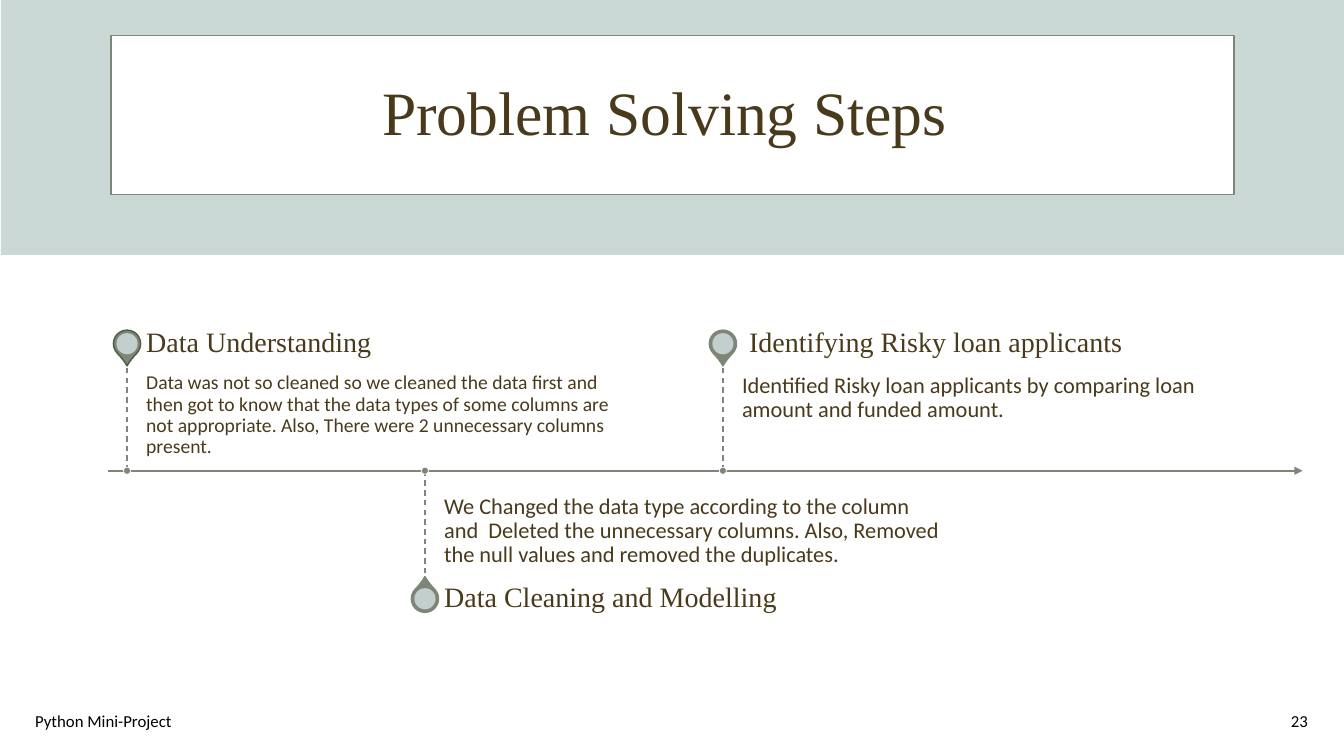
from lxml import etree
from pptx import Presentation
from pptx.dml.color import RGBColor
from pptx.enum.dml import MSO_LINE
from pptx.enum.shapes import MSO_CONNECTOR, MSO_SHAPE
from pptx.enum.text import MSO_ANCHOR as ANCHOR, PP_ALIGN as ALIGN
from pptx.oxml.ns import qn
from pptx.util import Inches, Pt

COLORS = {"mist": "CAD8D6", "sage": "7E8679", "moss": "4F5945",
          "brown": "4A3A1C", "white": "FFFFFF", "black": "000000"}
RGB = {name: RGBColor.from_string(code) for name, code in COLORS.items()}
SERIF, SANS = "Times New Roman", "Calibri"

deck = Presentation()
deck.slide_width, deck.slide_height = Inches(13.33), Inches(7.5)
page = deck.slides.add_slide(deck.slide_layouts[5])


def add_figure(kind, left, top, width, height, fill, line=None, weight=1):
    figure = page.shapes.add_shape(
        kind, Inches(left), Inches(top), Inches(width), Inches(height))
    figure.shadow.inherit = False
    figure.fill.solid()
    figure.fill.fore_color.rgb = RGB[fill]
    if line:
        figure.line.color.rgb = RGB[line]
        figure.line.width = Pt(weight)
    else:
        figure.line.fill.background()
    return figure


def write(box, at, text, size, font, color="brown", align=ALIGN.LEFT,
          anchor=ANCHOR.MIDDLE, insets=(0.1, 0.05, 0.1, 0.05), spacing=0.9):
    box.left, box.top, box.width, box.height = map(Inches, at)
    frame = box.text_frame
    frame.word_wrap = True
    frame.vertical_anchor = anchor
    (frame.margin_left, frame.margin_top,
     frame.margin_right, frame.margin_bottom) = map(Inches, insets)
    para = frame.paragraphs[0]
    para.alignment, para.line_spacing = align, spacing
    span = para.add_run()
    span.text = text
    span.font.size, span.font.name = Pt(size), font
    span.font.color.rgb = RGB[color]


# Header band, framed panel and title
add_figure(MSO_SHAPE.RECTANGLE, 0.01, 0, 13.33, 2.53, "mist")
add_figure(MSO_SHAPE.RECTANGLE, 1.1, 0.35, 11.14, 1.58, "white", "sage")
title = page.shapes.title
title.element.getparent().append(title.element)
write(title, (0.42, 0.42, 12.5, 1.45), "Problem Solving Steps ", 44, SERIF,
      align=ALIGN.CENTER)

# Footer
for left, width, text, align in ((0.25, 4.5, "Python Mini-Project", ALIGN.LEFT),
                                 (10.07, 3, "23", ALIGN.RIGHT)):
    write(page.shapes.add_textbox(0, 0, 0, 0), (left, 6.95, width, 0.4),
          text, 12, SANS, "black", align, spacing=1)

# Timeline geometry: steps alternate above and below the axis
AXIS, FIRST, STEP = 4.67, 1.26, 2.955
PIN, HOLE, DOT = 0.27, 0.21, 0.07
TEXT_GAP, TEXT_WIDTH, HEAD, BODY = 0.19, 4.92, 0.38, 1.07
steps = [
    ("Data Understanding",
     "Data was not so cleaned so we cleaned the data first and then got to know "
     "that the data types of some columns are not appropriate. Also, There were "
     "2 unnecessary columns present.", 14, "moss", 0, (0, 0.1, 0.1, 0.15)),
    ("Data Cleaning and Modelling",
     "We Changed the data type according to the column and  Deleted the "
     "unnecessary columns. Also, Removed the null values and removed the "
     "duplicates.", 16, "sage", 0, (0, 0.17, 0, 0.11)),
    ("Identifying Risky loan applicants",
     "Identified Risky loan applicants by comparing loan amount and funded "
     "amount.", 16, "sage", 0.07, (0, 0.11, 0.11, 0.17)),
]
centers = [FIRST + STEP * index for index in range(len(steps))]

# Axis arrow and dashed stems
lines = [(1.07, AXIS, 12.92, AXIS)]
lines += [(x, AXIS, x, 5.75 if index % 2 else 3.6)
          for index, x in enumerate(centers)]
for index, ends in enumerate(lines):
    link = page.shapes.add_connector(MSO_CONNECTOR.STRAIGHT, *map(Inches, ends))
    link.line.color.rgb = RGB["sage"]
    link.line.width = Pt(1 if index else 1.5)
    if index:
        link.line.dash_style = MSO_LINE.DASH
    else:
        etree.SubElement(link.line._get_or_add_ln(), qn("a:tailEnd"),
                         type="triangle")
    etree.SubElement(link.element.spPr, qn("a:effectLst"))

# Pins, texts and axis dots
for index, (heading, body, size, outline, indent, insets) in enumerate(steps):
    x, below = centers[index], index % 2
    pin_y = 5.94 if below else 3.41
    pin = add_figure(MSO_SHAPE.TEAR, x - PIN / 2, pin_y - PIN / 2, PIN, PIN,
                     "sage", outline)
    pin.adjustments[0] = 1.15
    pin.rotation = 315 if below else 135
    hole = add_figure(MSO_SHAPE.OVAL, x - HOLE / 2, pin_y - HOLE / 2,
                      HOLE, HOLE, "mist")
    tint = hole.element.spPr.find(qn("a:solidFill"))[0]
    etree.SubElement(tint, qn("a:alpha"), val="90000")

    left = x + TEXT_GAP
    write(page.shapes.add_textbox(0, 0, 0, 0),
          (left, AXIS if below else AXIS - BODY, TEXT_WIDTH, BODY),
          body, size, SANS, insets=insets,
          anchor=ANCHOR.BOTTOM if below else ANCHOR.TOP)
    write(page.shapes.add_textbox(0, 0, 0, 0),
          (left, pin_y - HEAD / 2, TEXT_WIDTH, HEAD),
          heading, 20, SERIF, insets=(indent, 0, 0.14, 0))
    add_figure(MSO_SHAPE.OVAL, x - DOT / 2, AXIS - DOT / 2, DOT, DOT,
               "sage", "white", 0.5)

deck.save("out.pptx")
